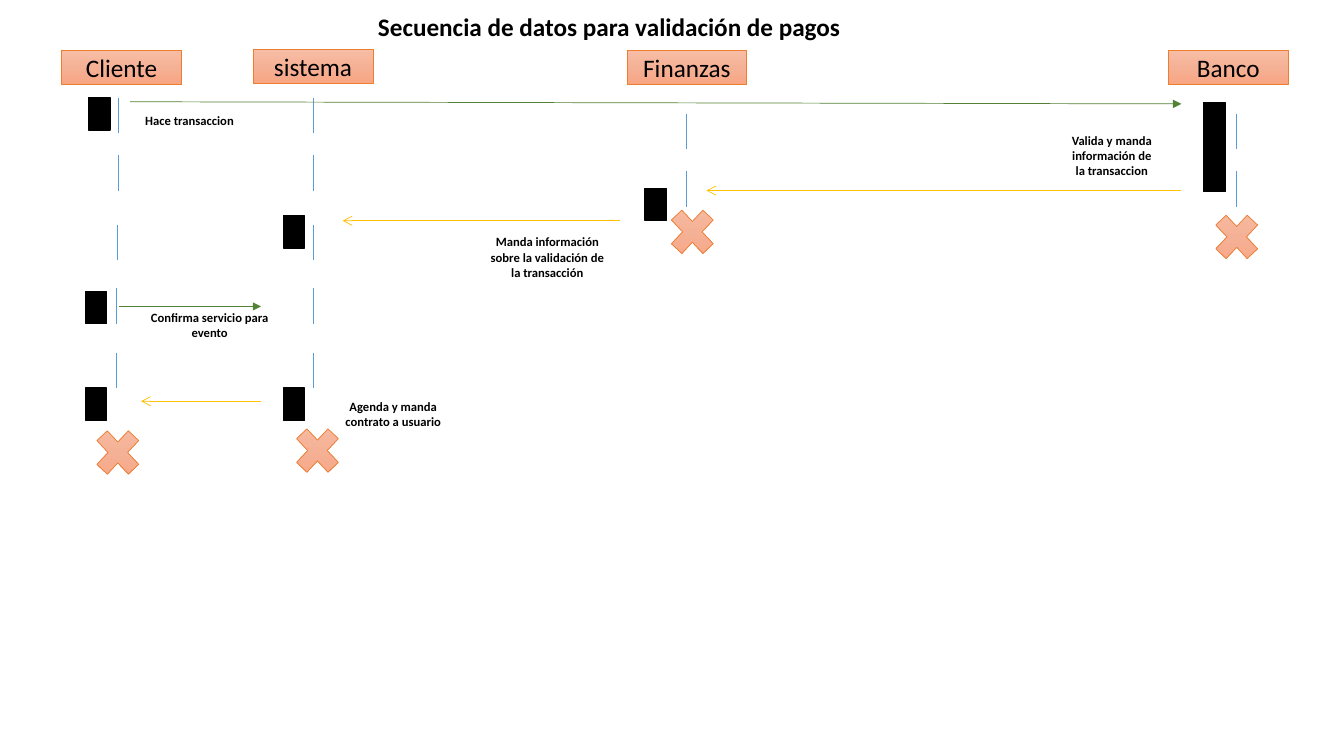
import copy
import pptx
import pptx.dml.color
import pptx.enum.shapes
import pptx.enum.text
import pptx.oxml
import pptx.oxml.ns
import pptx.util

Pt = pptx.util.Pt
RGBColor = pptx.dml.color.RGBColor
Preset = pptx.enum.shapes.MSO_SHAPE
Align = pptx.enum.text.PP_ALIGN
qn = pptx.oxml.ns.qn

BLACK = RGBColor(0x00, 0x00, 0x00)
BLUE = RGBColor(0x5B, 0x9B, 0xD5)
GREEN = RGBColor(0x54, 0x82, 0x35)
YELLOW = RGBColor(0xFF, 0xC0, 0x00)
ORANGE = RGBColor(0xED, 0x7D, 0x31)
PEACH = (RGBColor(0xF7, 0xBD, 0xA5), RGBColor(0xF5, 0xB1, 0x96), RGBColor(0xF8, 0xA5, 0x82))


class SequenceDiagram:
    font = "Calibri"
    hairline = 0.5

    def __init__(self, slide):
        self.slide = slide

    def set_text(self, holder, text, size, bold=False, align=Align.CENTER):
        frame = holder.text_frame
        frame.text = text
        frame.word_wrap = True
        frame.auto_size = pptx.enum.text.MSO_AUTO_SIZE.NONE
        frame.vertical_anchor = pptx.enum.text.MSO_ANCHOR.MIDDLE
        paragraph = frame.paragraphs[0]
        paragraph.alignment = align
        font = paragraph.runs[0].font
        font.name, font.size, font.bold = self.font, Pt(size), bold
        font.color.rgb = BLACK

    def title(self, text, left, top, width, height):
        heading = self.slide.shapes.title
        heading.left, heading.top = Pt(left), Pt(top)
        heading.width, heading.height = Pt(width), Pt(height)
        self.set_text(heading, text, 18, True, Align.RIGHT)

    def shape(self, preset, left, top, width, height, outline, weight):
        body = self.slide.shapes.add_shape(preset, Pt(left), Pt(top), Pt(width), Pt(height))
        body.shadow.inherit = False
        body.line.color.rgb = outline
        body.line.width = Pt(weight)
        return body

    def peach_shape(self, preset, left, top, width, height):
        body = self.shape(preset, left, top, width, height, ORANGE, self.hairline)
        body.fill.gradient()
        body.fill.gradient_angle = 270
        stops = body._element.spPr.find(qn("a:gradFill")).find(qn("a:gsLst"))
        stops.insert(1, copy.deepcopy(stops[0]))
        stops[1].set("pos", "50000")
        for stop, color in zip(body.fill.gradient_stops, PEACH):
            stop.color.rgb = color
        return body

    def participant(self, name, left, top):
        self.set_text(self.peach_shape(Preset.RECTANGLE, left, top, 85.7, 24.5), name, 18)

    def destruction(self, left, top):
        self.peach_shape(Preset.MATH_MULTIPLY, left, top, 43.2, 46.1)

    def activation(self, left, top, width=15.1, height=23):
        bar = self.shape(Preset.RECTANGLE, left, top, width, height, BLACK, 1)
        bar.fill.solid()
        bar.fill.fore_color.rgb = BLACK

    def line(self, start, end, color, arrowhead=None):
        link = self.slide.shapes.add_connector(
            pptx.enum.shapes.MSO_CONNECTOR.STRAIGHT, *(Pt(v) for v in start + end))
        link.line.color.rgb = color
        link.line.width = Pt(self.hairline)
        properties = link._element.spPr
        if arrowhead:
            tail = pptx.oxml.parse_xml(
                f'<a:tailEnd {pptx.oxml.ns.nsdecls("a")} type="{arrowhead}"/>')
            properties.find(qn("a:ln")).append(tail)
        properties.append(pptx.oxml.parse_xml(f'<a:effectLst {pptx.oxml.ns.nsdecls("a")}/>'))

    def lifeline(self, dashes):
        for x, top in dashes:
            self.line((x, top), (x, top + 25.3), BLUE)

    def label(self, text, left, top, width=103.7, height=37.4):
        box = self.slide.shapes.add_textbox(Pt(left), Pt(top), Pt(width), Pt(height))
        self.set_text(box, text, 9, True)


presentation = pptx.Presentation()
presentation.slide_width, presentation.slide_height = Pt(960), Pt(540)
diagram = SequenceDiagram(presentation.slides.add_slide(presentation.slide_layouts[5]))

diagram.title("Secuencia de datos para validación de pagos", 254.9, 5, 352.8, 28.1)

for name, left, top in (("Cliente", 44, 36), ("sistema", 180.7, 35.3),
                        ("Finanzas", 447.8, 36), ("Banco", 834.5, 36)):
    diagram.participant(name, left, top)

long_dashes = (69.8, 110.9, 160.6, 205.9, 252)
short_dashes = (81.4, 122.4)
diagram.lifeline(zip((84.2, 84.2, 83.5, 82.8, 82.8), long_dashes))
diagram.lifeline((223.9, top) for top in long_dashes)
for x in (490.3, 883.4):
    diagram.lifeline((x, top) for top in short_dashes)

for start, end in (((92.9, 72.7), (843.8, 74.2)), ((85, 218.9), (186.5, 218.9))):
    diagram.line(start, end, GREEN, "triangle")
for start, end in (((843.8, 136.1), (504.7, 136.1)), ((442.8, 157.7), (244.8, 157.7)),
                   ((186.5, 286.6), (100.8, 286.6))):
    diagram.line(start, end, YELLOW, "arrow")

diagram.label("Hace transaccion", 83.5, 75.6, height=20.2)
diagram.label("Valida y manda información de la transaccion", 756.7, 87.8, 74.9, 46.8)
diagram.label("Manda información sobre la validación de la transacción", 339.1, 164.9)
diagram.label("Confirma servicio para evento", 97.9, 213.1)
diagram.label("Agenda y manda contrato a usuario", 229, 277.2)

for left, top in ((63.4, 69.8), (61.2, 208.1), (61.2, 277.2),
                  (202.3, 154.1), (202.3, 277.2), (460.8, 134.6)):
    diagram.activation(left, top)
diagram.activation(859.7, 73.4, 15.8, 63.4)

for left, top in ((62.6, 300.2), (205.2, 298.8), (473, 142.6), (861.8, 146.2)):
    diagram.destruction(left, top)

presentation.save("out.pptx")
